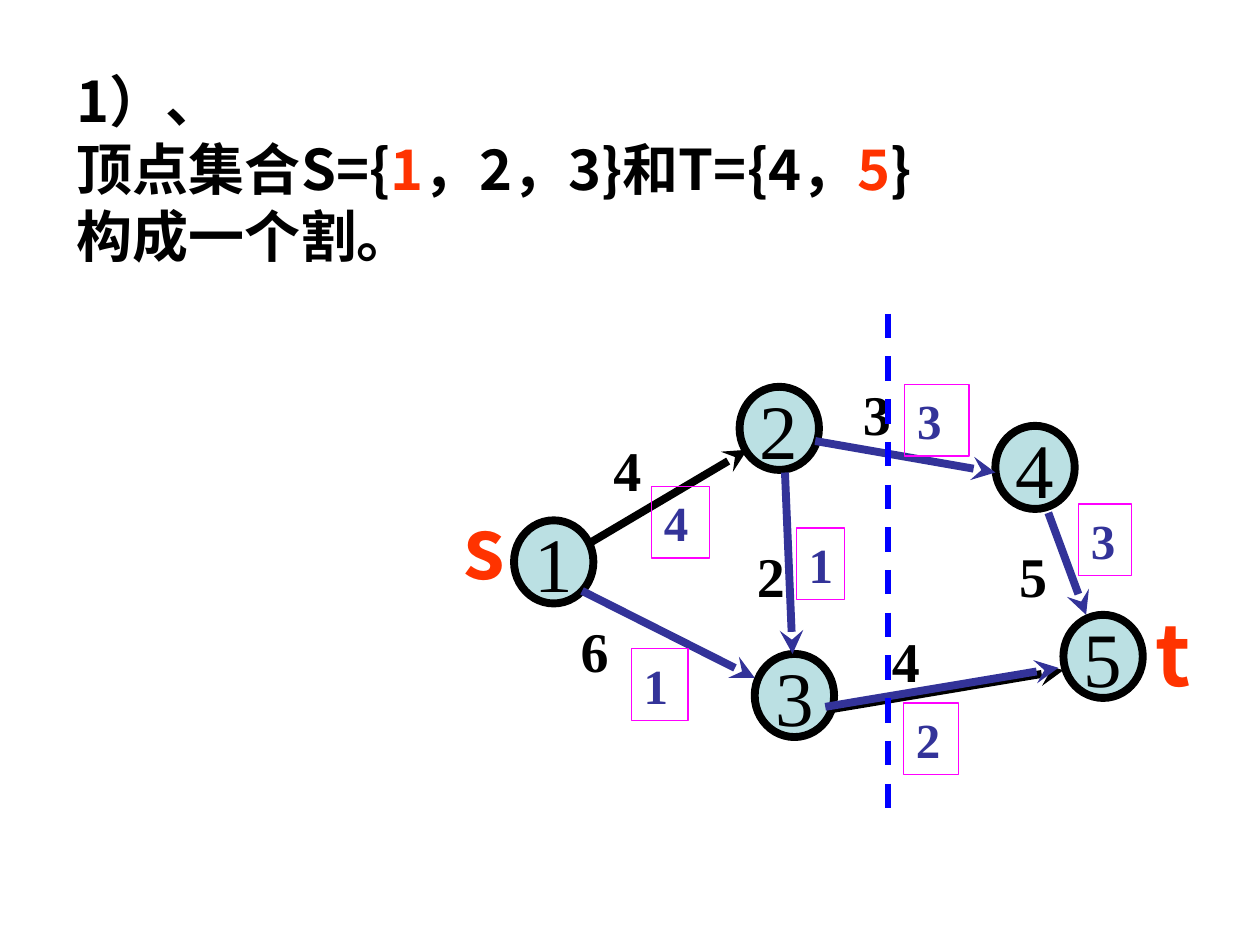
from lxml.etree import SubElement
from pptx import Presentation
from pptx.dml.color import RGBColor
from pptx.enum.dml import MSO_LINE
from pptx.enum.shapes import MSO_CONNECTOR, MSO_SHAPE
from pptx.enum.text import MSO_ANCHOR, MSO_AUTO_SIZE, PP_ALIGN
from pptx.oxml.ns import qn
from pptx.util import Inches, Pt

BLACK = RGBColor(0x00, 0x00, 0x00)
RED = RGBColor(0xFF, 0x33, 0x00)
INDIGO = RGBColor(0x33, 0x33, 0x99)
BLUE = RGBColor(0x00, 0x00, 0xFF)
MAGENTA = RGBColor(0xFF, 0x00, 0xFF)
PALE_TEAL = RGBColor(0xBB, 0xE0, 0xE3)

SERIF = "Times New Roman"
SANS = "Noto Sans CJK SC"
NODE_WIDTH, NODE_HEIGHT = 0.63, 0.66

STATEMENT = [
    [("1）、", BLACK)],
    [("顶点集合S={", BLACK), ("1", RED), ("，2，3}和T={4，", BLACK),
     ("5", RED), ("}", BLACK)],
    [("构成一个割。", BLACK)],
]

# Name, left, top
NODES = [("1", 4.08, 4.13), ("2", 5.87, 3.07), ("4", 7.9, 3.38),
         ("3", 5.99, 5.19), ("5", 8.44, 4.88)]

# Start, end, colour; the last edge lies over a black one
EDGES = [
    ((4.68, 4.31), (5.93, 3.57), BLACK),
    ((4.62, 4.69), (5.99, 5.38), INDIGO),
    ((6.47, 3.5), (7.9, 3.75), INDIGO),
    ((8.32, 4.07), (8.62, 4.88), INDIGO),
    ((6.23, 3.75), (6.29, 5.19), INDIGO),
    ((6.55, 5.61), (8.4, 5.3), INDIGO),
]
UNDER_EDGE = ((6.59, 5.63), (8.44, 5.32), BLACK)

# Value, left, top
CAPACITIES = [("6", 4.51, 4.84), ("4", 4.77, 3.41), ("3", 6.75, 2.96),
              ("4", 6.98, 4.92), ("5", 7.99, 4.25), ("2", 5.91, 4.25)]

# Value, left, top, width
FLOWS = [("4", 5.17, 3.86, 0.46), ("1", 6.32, 4.19, 0.38),
         ("2", 7.17, 5.58, 0.44), ("3", 7.18, 3.05, 0.51),
         ("3", 8.56, 4, 0.42), ("1", 5.01, 5.15, 0.45)]


def set_east_asian_font(run, name):
    properties = run.font._element
    SubElement(properties, qn("a:ea")).set("typeface", name)


def format_font(paragraph, size, name, color=None, bold=True):
    font = paragraph.font
    font.size, font.name, font.bold = Pt(size), name, bold
    if color is not None:
        font.color.rgb = color


def add_statement(slide):
    title = slide.shapes.title
    title.left, title.top = Inches(0.51), Inches(0.44)
    title.width, title.height = Inches(7.72), Inches(1.7)
    frame = title.text_frame
    frame.auto_size = MSO_AUTO_SIZE.NONE
    frame.vertical_anchor = MSO_ANCHOR.TOP
    frame.margin_top = Inches(0.09)
    for index, pieces in enumerate(STATEMENT):
        paragraph = frame.add_paragraph() if index else frame.paragraphs[0]
        paragraph.alignment = PP_ALIGN.LEFT
        paragraph.line_spacing = Pt(38.4)
        format_font(paragraph, 32, SANS)
        for text, color in pieces:
            run = paragraph.add_run()
            run.text = text
            run.font.color.rgb = color
            set_east_asian_font(run, SANS)


def add_label(slide, text, left, top, width, height, size, name, color):
    box = slide.shapes.add_textbox(Inches(left), Inches(top),
                                   Inches(width), Inches(height))
    frame = box.text_frame
    frame.word_wrap = True
    frame.text = text
    format_font(frame.paragraphs[0], size, name, color)
    return box


def add_flow(slide, text, left, top, width):
    box = add_label(slide, text, left, top, width, 0.57, 28, SERIF, INDIGO)
    box.line.color.rgb = MAGENTA
    box.line.width = Pt(0.75)


def add_node(slide, text, left, top):
    node = slide.shapes.add_shape(MSO_SHAPE.OVAL, Inches(left), Inches(top),
                                  Inches(NODE_WIDTH), Inches(NODE_HEIGHT))
    node.shadow.inherit = False
    node.fill.solid()
    node.fill.fore_color.rgb = PALE_TEAL
    node.line.color.rgb = BLACK
    node.line.width = Pt(4.5)
    frame = node.text_frame
    frame.word_wrap = False
    frame.vertical_anchor = MSO_ANCHOR.MIDDLE
    frame.text = text
    paragraph = frame.paragraphs[0]
    paragraph.alignment = PP_ALIGN.CENTER
    format_font(paragraph, 44, SERIF, BLACK, bold=False)


def add_line(slide, start, end, color, width=4.5):
    line = slide.shapes.add_connector(
        MSO_CONNECTOR.STRAIGHT, *(Inches(value) for value in start + end))
    line.line.color.rgb = color
    line.line.width = Pt(width)
    SubElement(line._element.spPr, qn("a:effectLst"))
    return line


def add_edge(slide, start, end, color):
    edge = add_line(slide, start, end, color)
    SubElement(edge.line._get_or_add_ln(), qn("a:tailEnd")).set("type", "stealth")


def main():
    presentation = Presentation()
    presentation.slide_width = Inches(10)
    presentation.slide_height = Inches(7.5)
    slide = presentation.slides.add_slide(presentation.slide_layouts[5])

    add_statement(slide)

    # Flow network
    add_edge(slide, *UNDER_EDGE)
    for capacity in CAPACITIES:
        add_label(slide, *capacity, 0.36, 0.64, 32, SERIF, BLACK)
    for node in NODES:
        add_node(slide, *node)
    for edge in EDGES:
        add_edge(slide, *edge)
    for flow in FLOWS:
        add_flow(slide, *flow)

    # Source and sink
    for text, left, top in [("s", 3.58, 3.82), ("t", 9.07, 4.67)]:
        label = add_label(slide, text, left, top, 0.5, 0.9, 48, SANS, RED)
        label.text_frame.margin_top = Inches(0.11)
        label.text_frame.paragraphs[0].line_spacing = Pt(57.6)

    # Cut
    cut = add_line(slide, (7.05, 2.49), (7.05, 6.43), BLUE, 3.5)
    cut.line.dash_style = MSO_LINE.DASH

    presentation.save("out.pptx")


if __name__ == "__main__":
    main()
